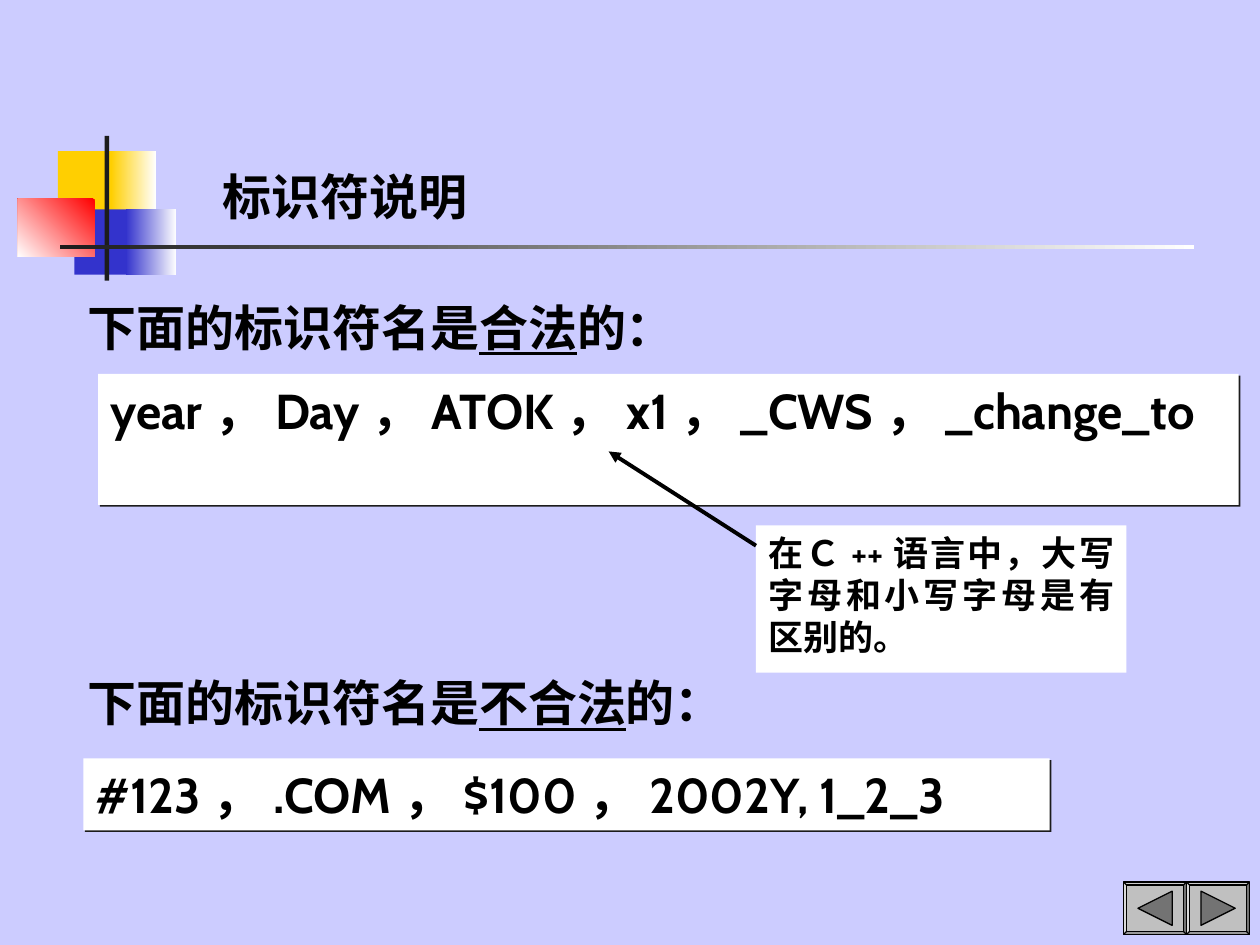
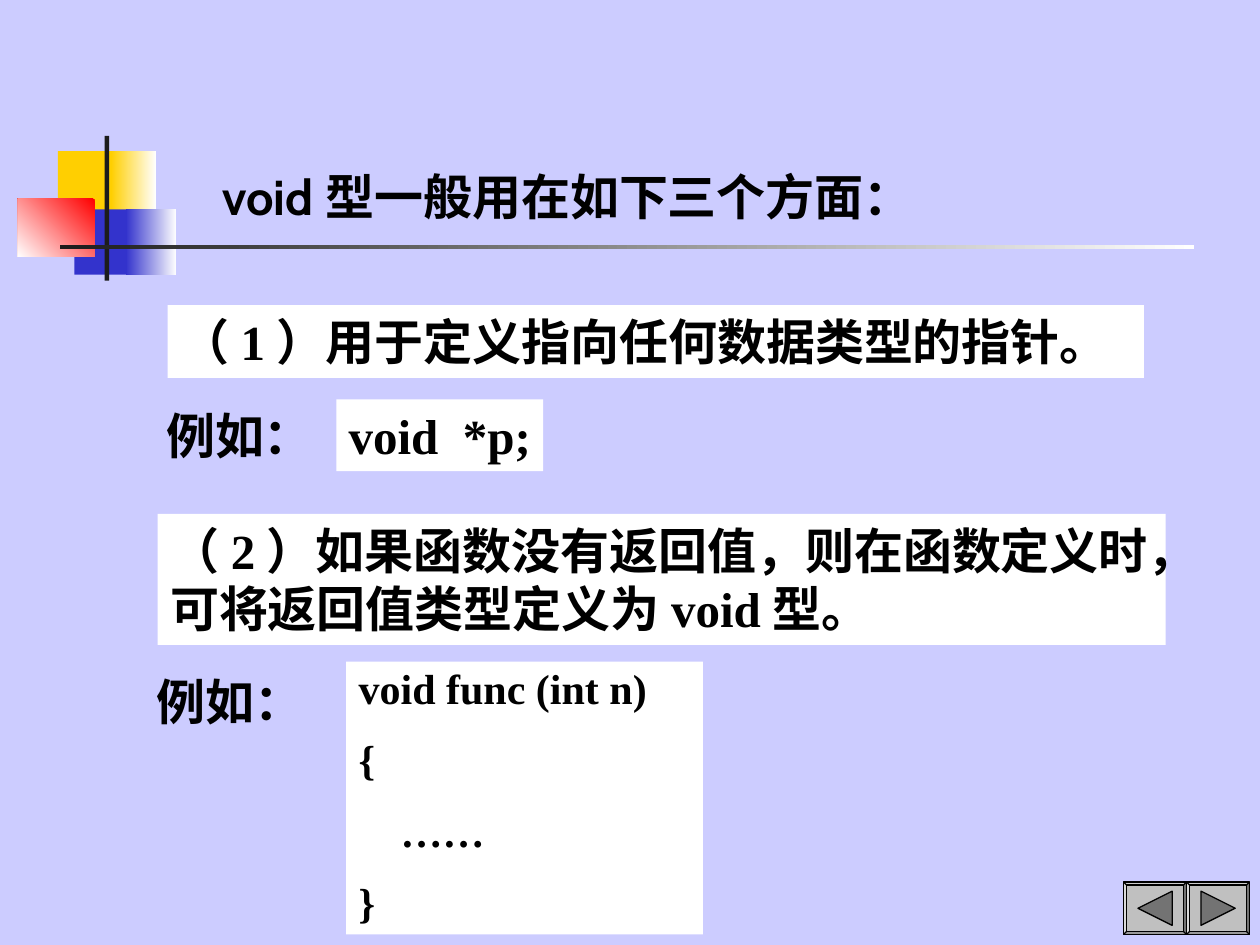
from lxml import etree
from pptx import Presentation
from pptx import util as u
from pptx.dml.color import RGBColor
from pptx.enum import shapes, text
from pptx.oxml import ns

COLORS = {
    "page": "CCCCFF", "paper": "FFFFFF", "ink": "000000", "bar": "1C1C1C",
    "yellow": "FFCF01", "blue": "3333CC", "red": "FF0000",
    "button": "C0C0C0", "arrowhead": "737373",
}
CABIN, NOTO, TIMES = "Cabin", "Noto Sans CJK SC", "Times New Roman"

# Shared decoration: place in cm, colour or (start, end, angle)
DECORATION = [
    ((1.17, 3.05, 1.22, 1.32), "yellow"),
    ((2.24, 3.05, 0.91, 1.32), ("paper", "yellow", 180)),
    ((1.5, 4.22, 1.17, 1.32), "blue"),
    ((2.54, 4.22, 1.02, 1.32), ("paper", "blue", 180)),
    ((0.36, 4.01, 1.55, 1.17), ("red", "paper", 225)),
    ((2.11, 2.74, 0.09, 2.92), "bar"),
    ((1.22, 4.94, 22.86, 0.09), ("paper", "bar", 180)),
]
TITLE_PLACE = (4.24, 3.18, 14.6, 1.48)
BUTTON_LEFT, BUTTON_TOP, BUTTON_WIDTH, BUTTON_HEIGHT = 22.65, 17.78, 1.27, 1.06
TRIANGLE_SIDE = 0.69

# A line is a list of (text, font) or (text, font, underlined)
PAGES = [
    {
        "title": [("标识符说明", CABIN)],
        "boxes": [
            {"place": (15.24, 10.59, 7.47, 2.97), "paper": True, "size": 20, "justify": True,
             "lines": [[("在Ｃ++语言中，大写字母和小写字母是有区别的。", CABIN)]]},
            {"place": (1.98, 7.54, 22.99, 2.64), "paper": True, "shadow": True,
             "lines": [[("year，Day，ATOK，x1，_CWS，_change_to", CABIN)]]},
            {"place": (1.52, 5.87, 12.34, 1.45),
             "lines": [[("下面的标识符名是", CABIN), ("合法", CABIN, True), ("的：", CABIN)]]},
            {"place": (1.68, 15.29, 19.48, 1.45), "paper": True, "shadow": True,
             "lines": [[("#123，.COM，$100，2002Y, 1_2_3", CABIN)]]},
            {"place": (1.52, 13.44, 13.34, 1.45),
             "lines": [[("下面的标识符名是", CABIN), ("不合法", CABIN, True), ("的：", CABIN)]]},
        ],
        "arrow": (15.24, 11.0, 12.27, 9.1),
    },
    {
        "title": [("void", CABIN), ("型一般用在如下三个方面：", NOTO)],
        "boxes": [
            {"place": (3.38, 6.15, 19.68, 1.47), "paper": True,
             "lines": [[("（", NOTO), ("1", TIMES), ("）用于定义指向任何数据类型的指针。", NOTO)]]},
            {"place": (3.1, 8.05, 4.39, 1.45), "lines": [[("例如：", NOTO)]]},
            {"place": (6.78, 8.05, 4.17, 1.45), "paper": True, "wrap": False,
             "lines": [[("void  *p;", TIMES)]]},
            {"place": (3.18, 10.36, 20.32, 2.64), "paper": True,
             "lines": [[("（", NOTO), ("2", TIMES),
                        ("）如果函数没有返回值，则在函数定义时，可将返回值类型定义为", NOTO),
                        ("void", TIMES), ("型。", NOTO)]]},
            {"place": (2.9, 13.54, 4.09, 1.47), "spacing": 0.9, "lines": [[("例如：", NOTO)]]},
            {"place": (6.98, 13.34, 7.19, 5.5), "paper": True, "size": 24, "spacing": 0.9,
             "lines": [[(code, TIMES)] for code in ("void func (int n)", "{", "    ……", "}")]},
        ],
    },
]


def rgb(name):
    return RGBColor.from_string(COLORS[name])


def lengths(place):
    return [u.Cm(value) for value in place]


def add_block(page, place, fill, kind=shapes.MSO_SHAPE.RECTANGLE, outlined=False):
    block = page.shapes.add_shape(kind, *lengths(place))
    block.shadow.inherit = False
    if isinstance(fill, tuple):
        start, end, angle = fill
        block.fill.gradient()
        block.fill.gradient_angle = angle
        for stop, name in zip(block.fill.gradient_stops, (start, end)):
            stop.color.rgb = rgb(name)
    else:
        block.fill.solid()
        block.fill.fore_color.rgb = rgb(fill)
    if outlined:
        block.line.color.rgb = rgb("ink")
        block.line.width = u.Pt(0.75)
    else:
        block.line.fill.background()
    return block


def add_shadow(block):
    effects = block._element.spPr.find(ns.qn("a:effectLst"))
    shadow = etree.SubElement(effects, ns.qn("a:outerShdw"), dist=str(u.Pt(1.4)),
                              dir="2700000", algn="ctr", rotWithShape="0")
    etree.SubElement(shadow, ns.qn("a:srgbClr"), val=COLORS["bar"])


def write_lines(box, lines, size=28, spacing=None, justify=False, wrap=True, bottom=False):
    frame = box.text_frame
    frame.word_wrap = wrap
    frame.vertical_anchor = text.MSO_ANCHOR.BOTTOM if bottom else text.MSO_ANCHOR.TOP
    for number, line in enumerate(lines):
        para = frame.add_paragraph() if number else frame.paragraphs[0]
        para.alignment = text.PP_ALIGN.JUSTIFY if justify else text.PP_ALIGN.LEFT
        if spacing:
            para.line_spacing = spacing
        if number:
            para.space_before = u.Pt(15)
        for words, font, *underlined in line:
            span = para.add_run()
            span.text = words
            span.font.name = font
            span.font.size = u.Pt(size)
            span.font.bold = True
            span.font.color.rgb = rgb("ink")
            if underlined:
                span.font.underline = True
            etree.SubElement(span.font._element, ns.qn("a:ea"), typeface=NOTO)


def add_box(page, place, lines, paper=False, shadow=False, **style):
    if paper:
        box = add_block(page, place, "paper")
    else:
        box = page.shapes.add_textbox(*lengths(place))
    if shadow:
        add_shadow(box)
    write_lines(box, lines, **style)


def add_arrow(page, ends):
    arrow = page.shapes.add_connector(shapes.MSO_CONNECTOR.STRAIGHT, *lengths(ends))
    arrow.line.color.rgb = rgb("ink")
    arrow.line.width = u.Pt(2.25)
    etree.SubElement(arrow.line._get_or_add_ln(), ns.qn("a:tailEnd"), type="triangle")
    etree.SubElement(arrow._element.spPr, ns.qn("a:effectLst"))


def add_buttons(page):
    for number, turn in enumerate((270, 90)):
        left = BUTTON_LEFT + number * BUTTON_WIDTH
        button = add_block(page, (left, BUTTON_TOP, BUTTON_WIDTH, BUTTON_HEIGHT),
                           "button", shapes.MSO_SHAPE.BEVEL, outlined=True)
        button.adjustments[0] = 0.06
        place = (left + (BUTTON_WIDTH - TRIANGLE_SIDE) / 2,
                 BUTTON_TOP + (BUTTON_HEIGHT - TRIANGLE_SIDE) / 2,
                 TRIANGLE_SIDE, TRIANGLE_SIDE)
        triangle = add_block(page, place, "arrowhead",
                             shapes.MSO_SHAPE.ISOSCELES_TRIANGLE, outlined=True)
        triangle.rotation = turn


def build_page(deck, content):
    page = deck.slides.add_slide(deck.slide_layouts[6])
    page.background.fill.solid()
    page.background.fill.fore_color.rgb = rgb("page")
    for place, fill in DECORATION:
        add_block(page, place, fill)
    add_box(page, TITLE_PLACE, [content["title"]], bottom=True)
    for box in content["boxes"]:
        add_box(page, **box)
    add_buttons(page)
    if "arrow" in content:
        add_arrow(page, content["arrow"])


def main():
    deck = Presentation()
    deck.slide_width, deck.slide_height = u.Cm(25.4), u.Cm(19.05)
    for content in PAGES:
        build_page(deck, content)
    deck.save("out.pptx")


if __name__ == "__main__":
    main()
